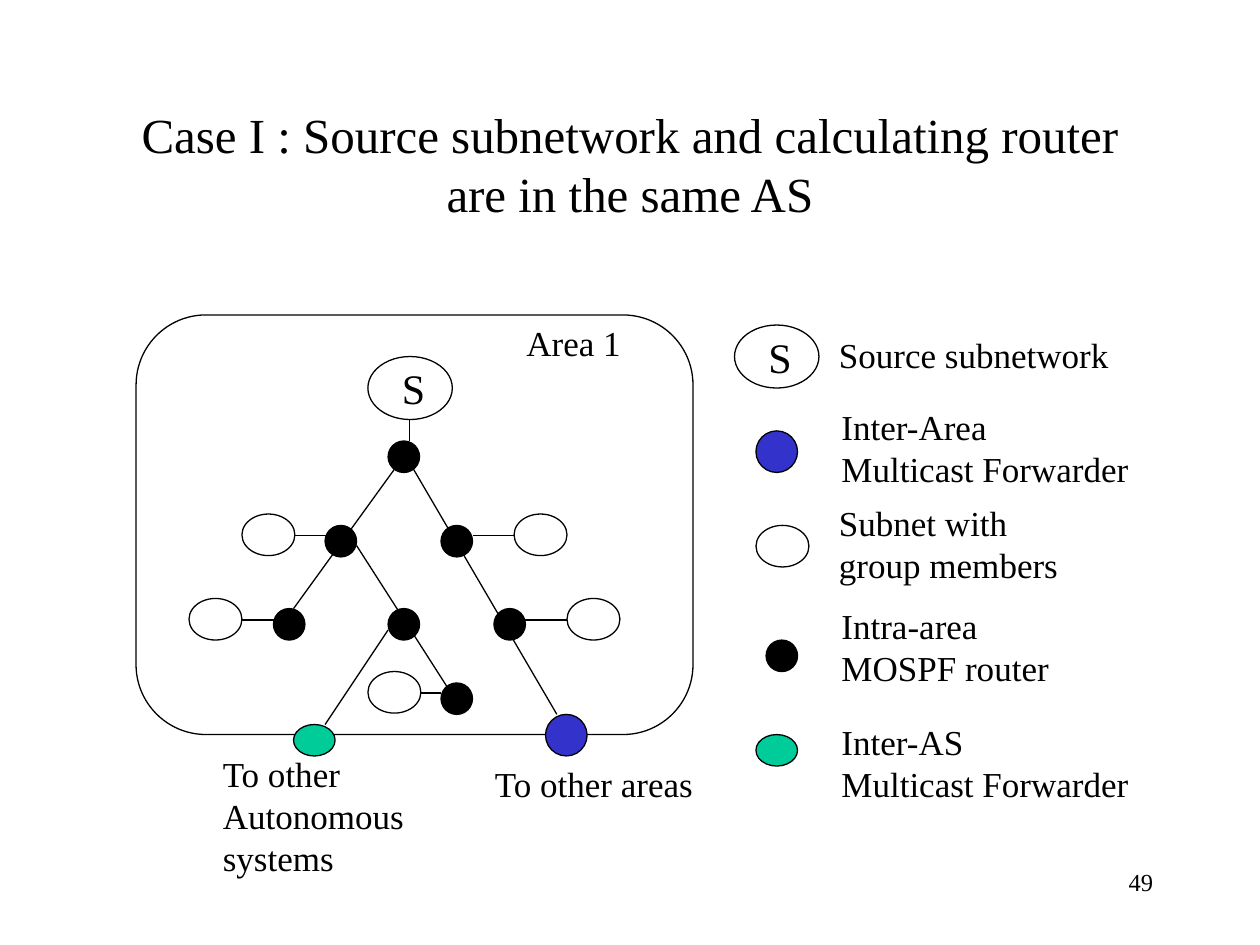
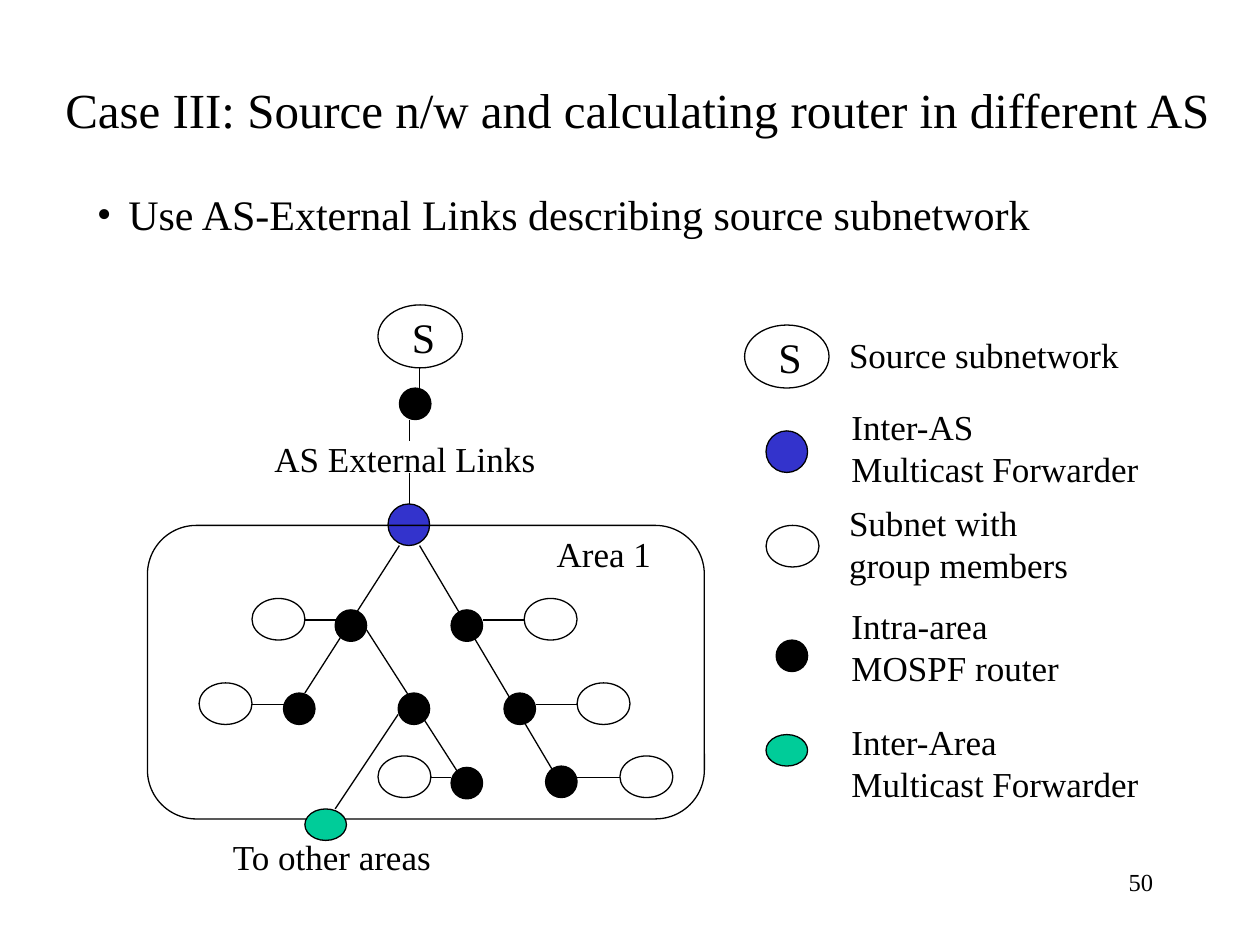
"""Build two slides on multicast trees within and between autonomous systems."""
from dataclasses import dataclass
from lxml.etree import SubElement
from pptx import Presentation
from pptx.dml.color import RGBColor as Rgb
from pptx.enum.shapes import MSO_CONNECTOR as Link, MSO_SHAPE as Shape
from pptx.enum.text import MSO_ANCHOR as Anchor, PP_ALIGN as Align
from pptx.oxml.ns import qn
from pptx.util import Inches, Pt


@dataclass(frozen=True)
class Theme:
    font: str = "Times New Roman"
    ink: Rgb = Rgb(0, 0, 0)
    blue: Rgb = Rgb(0x33, 0x33, 0xCC)
    green: Rgb = Rgb(0, 0xCC, 0x99)
    title: int = 28
    body: int = 24
    label: int = 20
    page: int = 14
    line: float = 0.75


look = Theme()
source = (0.67, 0.5, None)
router = (0.25, 0.25, look.ink)
member = (0.42, 0.33, None)
blue = (0.33, 0.33, look.blue)
green = (0.33, 0.25, look.green)


def draw(slide, x, y, kind, form=Shape.OVAL):
    wide, high, fill = kind
    item = slide.shapes.add_shape(form, Inches(x), Inches(y), Inches(wide), Inches(high))
    item.shadow.inherit = False
    if fill is None:
        item.fill.background()
    else:
        item.fill.solid()
        item.fill.fore_color.rgb = fill
    item.line.color.rgb = look.ink
    item.line.width = Pt(look.line)


def say(slide, box, text, size=look.label, align=Align.LEFT, bullet=False):
    frame = slide.shapes.add_textbox(*map(Inches, box)).text_frame
    frame.word_wrap = True
    frame.text = text
    for para in frame.paragraphs:
        para.alignment = align
        if bullet:
            props = para._p.get_or_add_pPr()
            props.set("marL", str(Inches(0.5)))
            props.set("indent", str(Inches(-0.25)))
            SubElement(props, qn("a:buFont")).set("typeface", look.font)
            SubElement(props, qn("a:buChar")).set("char", "•")
        para.font.name = look.font
        para.font.size = Pt(size)
        para.font.color.rgb = look.ink
    return frame


deck = Presentation()
deck.slide_width, deck.slide_height = Inches(10), Inches(7.5)

tree = [
    (router, [(2.58, 4.17), (2.17, 4.83), (3.5, 4.17), (3.92, 4.83), (3.08, 4.83), (3.5, 5.42)]),
    (member, [(2.92, 5.33), (1.5, 4.75), (1.92, 4.08), (4.08, 4.08), (4.5, 4.75)]),
]
edges = [
    (2.83, 4.33, 3.58, 5.5), (3.08, 5, 2.58, 5.75), (3.75, 4.25, 4.08, 4.25),
    (4.17, 4.92, 4.5, 4.92), (3.33, 5.5, 3.5, 5.5), (1.92, 4.92, 2.25, 4.92),
    (2.33, 4.25, 2.67, 4.25),
]
key = [
    (source, 5.83, 2.58, 6.56, 2.6, "Source subnetwork"),
    (blue, 6, 3.42, 6.58, 3.17, "{}\nMulticast Forwarder"),
    (member, 6, 4.17, 6.56, 3.93, "Subnet with\ngroup members"),
    (router, 6.08, 5.08, 6.58, 4.75, "Intra-area\nMOSPF router"),
    (green, 6, 5.83, 6.58, 5.67, "{}\nMulticast Forwarder"),
]
cases = [
    dict(
        page="49", shift=(0, 0), source=(2.92, 2.83), area=(1.08, 2.5, 3.33),
        under=[(router, 3.08, 3.5)], over=[(green, 2.33, 5.75), (blue, 4.33, 5.67)],
        edges=[(3.25, 3.33, 3.25, 3.5), (3.17, 3.67, 2.33, 4.83), (3.25, 3.67, 4.42, 5.67)],
        names={blue: "Inter-Area", green: "Inter-AS"},
        labels=[((4.08, 2.5, 1.1, 0.44), "Area 1"),
                ((1.67, 5.92, 1.8, 1.1), "To other\nAutonomous\nsystems"),
                ((3.83, 6, 2, 0.44), "To other areas")],
    ),
    dict(
        page="50", shift=(0.08, 0.67), source=(3, 2.42), area=(1.17, 4.17, 2.33),
        under=[(router, 3.17, 3.08), (blue, 3.08, 4), (router, 4.33, 6.08), (member, 4.92, 6)],
        over=[(green, 2.42, 6.42)],
        edges=[(3.33, 2.92, 3.33, 3.08), (3.25, 3.33, 3.25, 3.5), (3.25, 3.75, 3.25, 4),
               (3.17, 4.33, 2.42, 5.5), (3.33, 4.33, 4.42, 6.17), (4.58, 6.17, 4.92, 6.17)],
        names={blue: "Inter-AS", green: "Inter-Area"},
        labels=[((4.32, 4.18, 1.1, 0.44), "Area 1"),
                ((2.08, 3.42, 2.5, 0.44), "AS External Links"),
                ((1.75, 6.58, 2, 0.44), "To other areas")],
    ),
]

for case in cases:
    slide = deck.slides.add_slide(deck.slide_layouts[6])
    dx, dy = case["shift"]
    say(slide, (7.17, 6.83, 2.08, 0.5), case["page"], look.page, Align.RIGHT)

    for kind, spots in tree:
        for x, y in spots:
            draw(slide, x + dx, y + dy, kind)
    for kind, x, y in case["under"]:
        draw(slide, x, y, kind)

    moved = [(a + dx, b + dy, c + dx, d + dy) for a, b, c, d in edges]
    for ends in moved + case["edges"]:
        edge = slide.shapes.add_connector(Link.STRAIGHT, *map(Inches, ends))
        edge.line.color.rgb = look.ink
        edge.line.width = Pt(look.line)
        SubElement(edge._element.spPr, qn("a:effectLst"))

    left, top, high = case["area"]
    draw(slide, left, top, (4.42, high, None), Shape.ROUNDED_RECTANGLE)
    for kind, x, y in case["over"]:
        draw(slide, x, y, kind)
    for box, text in case["labels"]:
        say(slide, box, text)

    for kind, x, y, left, top, text in key:
        draw(slide, x + dx, y, kind)
        text = text.format(case["names"].get(kind))
        high = 0.77 if "\n" in text else 0.44
        say(slide, (left + dx, top, 2.7, high), text)

    draw(slide, *case["source"], source)
    for x, y in [case["source"], (5.83 + dx, 2.58)]:
        say(slide, (x + 0.17, y, 0.42, 0.5), "S", look.body)

first, second = deck.slides
head = say(first, (0.75, 0.67, 8.5, 1.25),
           "Case I : Source subnetwork and calculating router are in the same AS",
           look.title, Align.CENTER)
head.vertical_anchor = Anchor.MIDDLE
say(second, (0.42, 0.58, 9.5, 0.55),
    "Case III: Source n/w and calculating router in different AS", look.title)
say(second, (0.42, 1.45, 9.5, 0.5),
    "Use AS-External Links describing source subnetwork", look.body, bullet=True)

deck.save("out.pptx")
